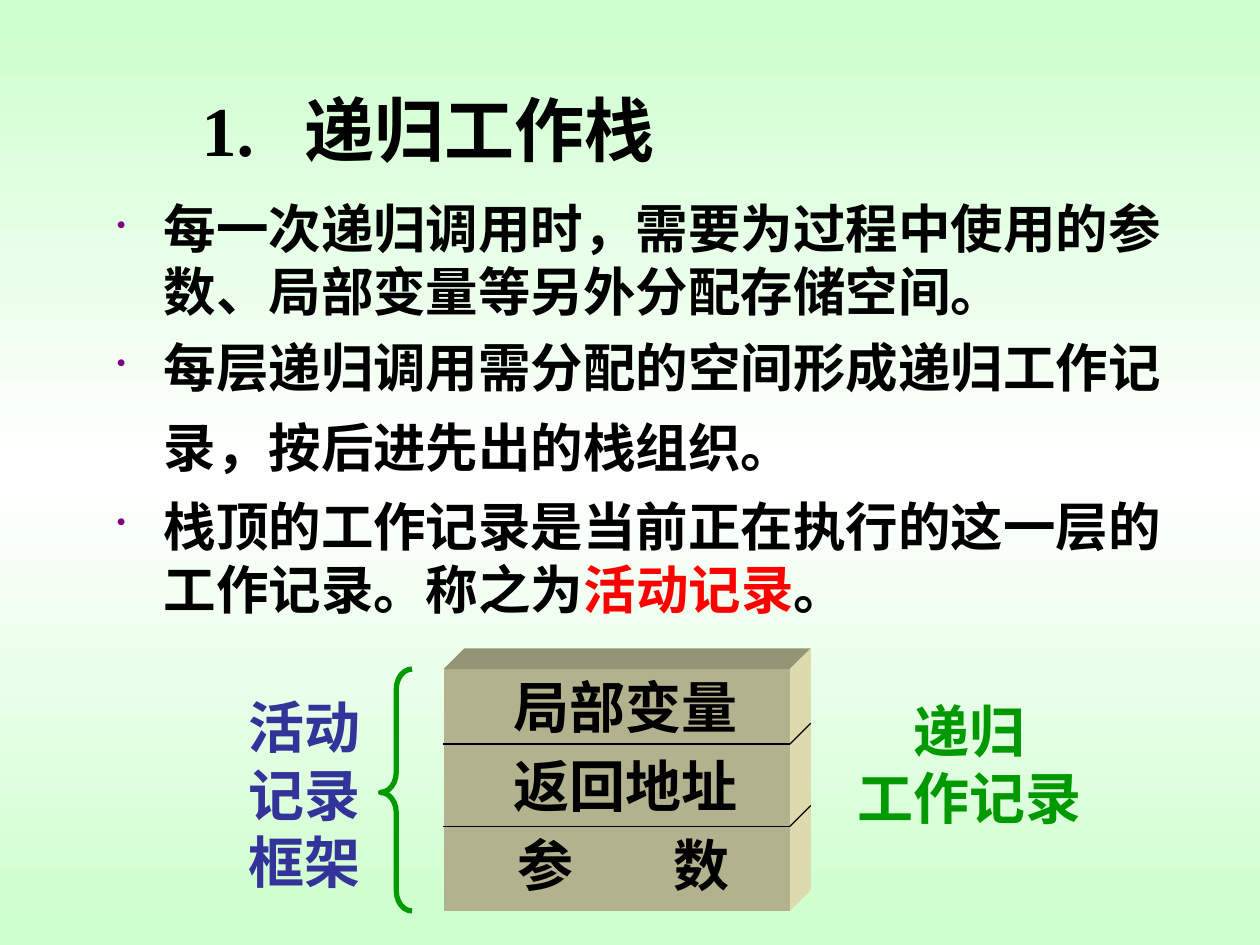
from copy import deepcopy
from dataclasses import dataclass

from lxml.etree import SubElement
from pptx import Presentation
from pptx.dml.color import RGBColor
from pptx.enum.shapes import MSO_CONNECTOR, MSO_SHAPE
from pptx.enum.text import MSO_ANCHOR, MSO_AUTO_SIZE, PP_ALIGN
from pptx.oxml.ns import qn
from pptx.util import Inches, Pt

COLORS = {
    "mint": "CCFFCC", "white": "FFFFFF", "black": "000000", "red": "FF0000",
    "bullet": "800080", "green": "009900", "blue": "333399",
    "front": "B3B28F", "top": "949476", "side": "DDDAAE",
}
FONT = "Times New Roman"
CELL = Inches(0.1)  # the slide is a grid of 100 columns and 75 rows
COLUMNS, ROWS = 100, 75


@dataclass
class Box:
    """A rectangle measured in grid columns and rows."""
    left: float
    top: float
    width: float
    height: float

    def place(self):
        return [round(n * CELL) for n in (self.left, self.top, self.width, self.height)]

    def inner(self, x, y, width, height):
        """The box at the given shares of this one."""
        return Box(self.left + x * self.width, self.top + y * self.height,
                   width * self.width, height * self.height)


def color(name):
    return RGBColor.from_string(COLORS[name])


def set_values(target, values):
    for name, value in values.items():
        setattr(target, name, value)


def add_run(paragraph, text, size, color_name):
    run = paragraph.add_run()
    run.text = text
    set_values(run.font, {"name": FONT, "size": Pt(size), "bold": True})
    run.font.color.rgb = color(color_name)


def add_tabs(paragraph, positions):
    tabs = SubElement(paragraph._p.get_or_add_pPr(), qn("a:tabLst"))
    for position in positions:
        SubElement(tabs, qn("a:tab"), pos=str(Inches(position)), algn="l")


def add_bullet(paragraph):
    properties = paragraph._p.get_or_add_pPr()
    properties.set("marL", str(Inches(0.37)))
    properties.set("indent", str(-Inches(0.37)))
    bullet_color = SubElement(properties, qn("a:buClr"))
    SubElement(bullet_color, qn("a:srgbClr"), val=COLORS["bullet"])
    SubElement(properties, qn("a:buSzPct"), val="50000")
    SubElement(properties, qn("a:buChar"), char="•")


def add_text_frame(slide, box, wrap=True):
    frame = slide.shapes.add_textbox(*box.place()).text_frame
    frame.word_wrap = wrap
    return frame


def add_paragraphs(frame, count):
    return [frame.paragraphs[0]] + [frame.add_paragraph() for _ in range(count - 1)]


def paint_background(slide):
    fill = slide.background.fill
    fill.gradient()
    fill.gradient_angle = 90
    stop_list = slide.element.find(".//" + qn("a:gsLst"))
    stop_list.append(deepcopy(stop_list[0]))
    for index, (stop, name) in enumerate(zip(fill.gradient_stops, ("mint", "white", "mint"))):
        stop.position = index / 2
        stop.color.rgb = color(name)


def fill_title(slide, box):
    title = slide.shapes.title
    set_values(title, dict(zip(("left", "top", "width", "height"), box.place())))
    frame = title.text_frame
    set_values(frame, {"vertical_anchor": MSO_ANCHOR.MIDDLE, "word_wrap": True,
                       "auto_size": MSO_AUTO_SIZE.NONE})
    paragraph = frame.paragraphs[0]
    paragraph.alignment = PP_ALIGN.LEFT
    add_tabs(paragraph, [0.82])
    add_run(paragraph, "1.\t递归工作栈", 40, "black")


def add_points(slide, box):
    points = [
        [("每一次递归调用时，需要为过程中使用的参数、局部变量等另外分配存储空间。", 30, "black")],
        [("每层递归调用需分配的空间形成递归工作记录，按后进先出的栈组织。", 30, "black"),
         (" ", 40, "black")],
        [("栈顶的工作记录是当前正在执行的这一层的工作记录。称之为", 30, "black"),
         ("活动记录", 30, "red"), ("。", 30, "black")],
    ]
    paragraphs = add_paragraphs(add_text_frame(slide, box), len(points))
    for index, (paragraph, runs) in enumerate(zip(paragraphs, points)):
        add_bullet(paragraph)
        paragraph.space_before = Pt(7 if index else 0)
        for run in runs:
            add_run(paragraph, *run)


def add_face(slide, corners, color_name):
    points = [(round(x * CELL), round(y * CELL)) for x, y in corners]
    builder = slide.shapes.build_freeform(*points[0])
    builder.add_line_segments(points[1:], close=True)
    face = builder.convert_to_shape()
    face.shadow.inherit = False
    face.fill.solid()
    face.fill.fore_color.rgb = color(color_name)
    face.line.fill.background()


def add_edge(slide, start, end):
    ends = [round(n * CELL) for n in (*start, *end)]
    edge = slide.shapes.add_connector(MSO_CONNECTOR.STRAIGHT, *ends)
    edge.line.width = Pt(0.75)
    edge.line.color.rgb = color("black")
    SubElement(edge._element.spPr, qn("a:effectLst"))


def add_record_block(slide, box, depth):
    """Draw a solid block whose front fills the box, cut into three records."""
    left, top = box.left, box.top
    right, bottom = left + box.width, top + box.height
    back = right + depth
    add_face(slide, [(left, top), (right, top), (right, bottom), (left, bottom)], "front")
    add_face(slide, [(left, top), (left + depth, top - depth),
                     (back, top - depth), (right, top)], "top")
    add_face(slide, [(right, top), (back, top - depth),
                     (back, bottom - depth), (right, bottom)], "side")
    for share in (0.31, 0.65):
        y = top + share * box.height
        add_edge(slide, (left, y), (right, y))
        add_edge(slide, (right, y), (back, y - depth))

    records = ["局部变量", "返回地址", "\t参\t数"]
    frame = add_text_frame(slide, box.inner(0.12, -0.04, 0.81, 1.03))
    for index, (paragraph, text) in enumerate(zip(add_paragraphs(frame, 3), records)):
        set_values(paragraph, {"alignment": PP_ALIGN.CENTER, "line_spacing": 1.1,
                               "space_before": Pt(3 if index else 0)})
        if "\t" in text:
            paragraph.alignment = PP_ALIGN.LEFT
            add_tabs(paragraph, [0.16, 1.4])
        add_run(paragraph, text, 32, "black")


def add_brace(slide, box):
    brace = slide.shapes.add_shape(MSO_SHAPE.LEFT_BRACE, *box.place())
    brace.shadow.inherit = False
    brace.fill.background()
    brace.line.color.rgb = color("green")
    brace.line.width = Pt(3)
    brace.adjustments[0] = 0.64
    brace.adjustments[1] = 0.51


def add_label(slide, box, lines, color_name, wrap):
    frame = add_text_frame(slide, box, wrap)
    for paragraph, text in zip(add_paragraphs(frame, len(lines)), lines):
        paragraph.alignment = PP_ALIGN.CENTER
        add_run(paragraph, text, 32, color_name)


def main():
    presentation = Presentation()
    presentation.slide_width, presentation.slide_height = COLUMNS * CELL, ROWS * CELL
    slide = presentation.slides.add_slide(presentation.slide_layouts[5])
    paint_background(slide)
    fill_title(slide, Box(15, 5.8, 66.7, 8.8))
    add_points(slide, Box(8.3, 15.1, 85, 56.7))
    add_record_block(slide, Box(35.2, 53.1, 27.5, 19.2), 1.65)
    add_brace(slide, Box(30.2, 53.1, 2.5, 19.2))
    add_label(slide, Box(18.3, 54.5, 11.8, 17), ["活动记录框架"], "blue", True)
    add_label(slide, Box(67, 54.8, 19.9, 11.7), ["递归", "工作记录"], "green", False)
    presentation.save("out.pptx")


if __name__ == "__main__":
    main()
